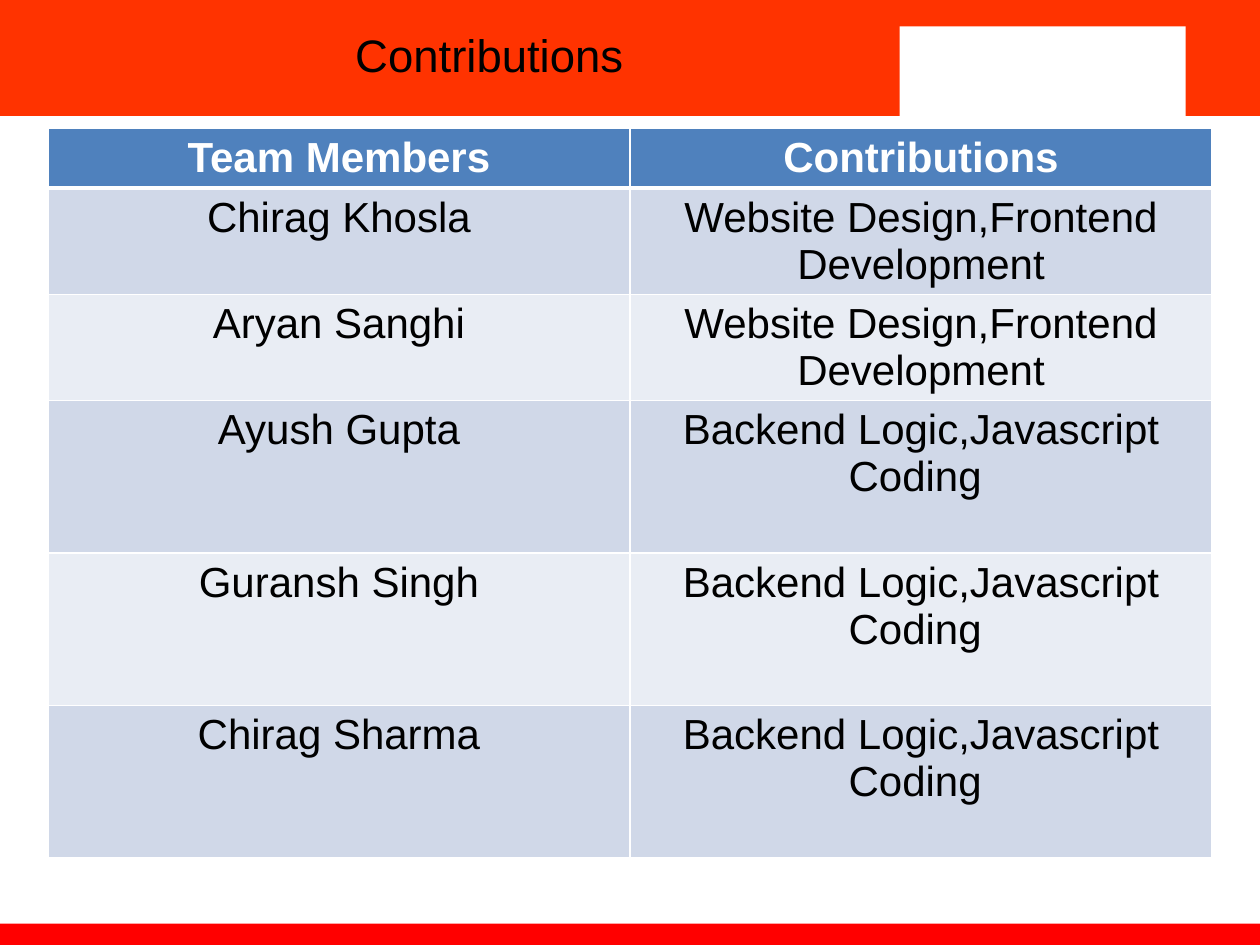
import pptx
import pptx.util
import pptx.dml.color
import pptx.enum.shapes
import pptx.enum.text
import pptx.oxml
import pptx.oxml.ns

Inches, Pt = pptx.util.Inches, pptx.util.Pt
RGBColor = pptx.dml.color.RGBColor
ALIGN = pptx.enum.text.PP_ALIGN

ORANGE = RGBColor(0xFF, 0x33, 0x00)
RED = RGBColor(0xFF, 0x00, 0x00)
WHITE = RGBColor(0xFF, 0xFF, 0xFF)
BLACK = RGBColor(0x00, 0x00, 0x00)
BLUE = RGBColor(0x4F, 0x81, 0xBD)
BANDS = (RGBColor(0xD0, 0xD8, 0xE8), RGBColor(0xE9, 0xED, 0xF4))
FONT = "Arial"

# Content
TITLE = "Contributions"
FRONT = "Website Design,Frontend Development"
BACK = "Backend Logic,Javascript Coding "
ROWS = [
    ("Team Members", "Contributions", 0.46),
    ("Chirag Khosla", FRONT, 0.84),
    ("Aryan Sanghi", FRONT, 0.84),
    ("Ayush Gupta", BACK, 1.21),
    ("Guransh Singh", BACK, 1.21),
    ("Chirag Sharma", BACK, 1.21),
]
BARS = [  # left, top, width, height, colour
    (0, 0, 10, 0.92, ORANGE),
    (0, 7.33, 10, 0.17, RED),
    (7.14, 0.21, 2.27, 0.75, WHITE),
]


def write(frame, text, size, color, bold=False):
    para = frame.paragraphs[0]
    para.alignment = ALIGN.CENTER
    run = para.add_run()
    run.text = text
    font = run.font
    font.name, font.size, font.bold = FONT, Pt(size), bold
    font.color.rgb = color


def edge(cell, side, width):
    """Add one white border; call before the cell gets its fill."""
    line = pptx.oxml.parse_xml(
        f'<a:{side} {pptx.oxml.ns.nsdecls("a")} w="{Pt(width)}">'
        f'<a:solidFill><a:srgbClr val="{WHITE}"/></a:solidFill></a:{side}>')
    cell._tc.get_or_add_tcPr().append(line)


def main():
    deck = pptx.Presentation()
    deck.slide_width, deck.slide_height = Inches(10), Inches(7.5)
    slide = deck.slides.add_slide(deck.slide_layouts[5])
    shapes = slide.shapes

    # Bars
    for *place, color in BARS:
        bar = shapes.add_shape(pptx.enum.shapes.MSO_SHAPE.RECTANGLE,
                               *map(Inches, place))
        bar.shadow.inherit = False
        bar.fill.solid()
        bar.fill.fore_color.rgb = color
        bar.line.fill.background()

    # Title, brought in front of the bars
    title = shapes.title
    title.left, title.top = Inches(0.8), Inches(0.14)
    title.width, title.height = Inches(6.17), Inches(0.58)
    title.text_frame.vertical_anchor = pptx.enum.text.MSO_ANCHOR.MIDDLE
    write(title.text_frame, TITLE, 26, BLACK)
    title.element.getparent().append(title.element)

    # Table
    total = sum(row[-1] for row in ROWS)
    table = shapes.add_table(len(ROWS), 2, Inches(0.38), Inches(1.02),
                             Inches(9.24), Inches(total)).table
    for r, (*texts, height) in enumerate(ROWS):
        table.rows[r].height = Inches(height)
        head = r == 0
        for c, text in enumerate(texts):
            cell = table.cell(r, c)
            for side in ("lnL", "lnR", "lnT", "lnB"):
                thick = (head and side == "lnB") or (r == 1 and side == "lnT")
                edge(cell, side, 3 if thick else 1)
            cell.fill.solid()
            cell.fill.fore_color.rgb = BLUE if head else BANDS[(r - 1) % 2]
            write(cell.text_frame, text, 24, WHITE if head else BLACK, head)

    deck.save("out.pptx")


if __name__ == "__main__":
    main()
